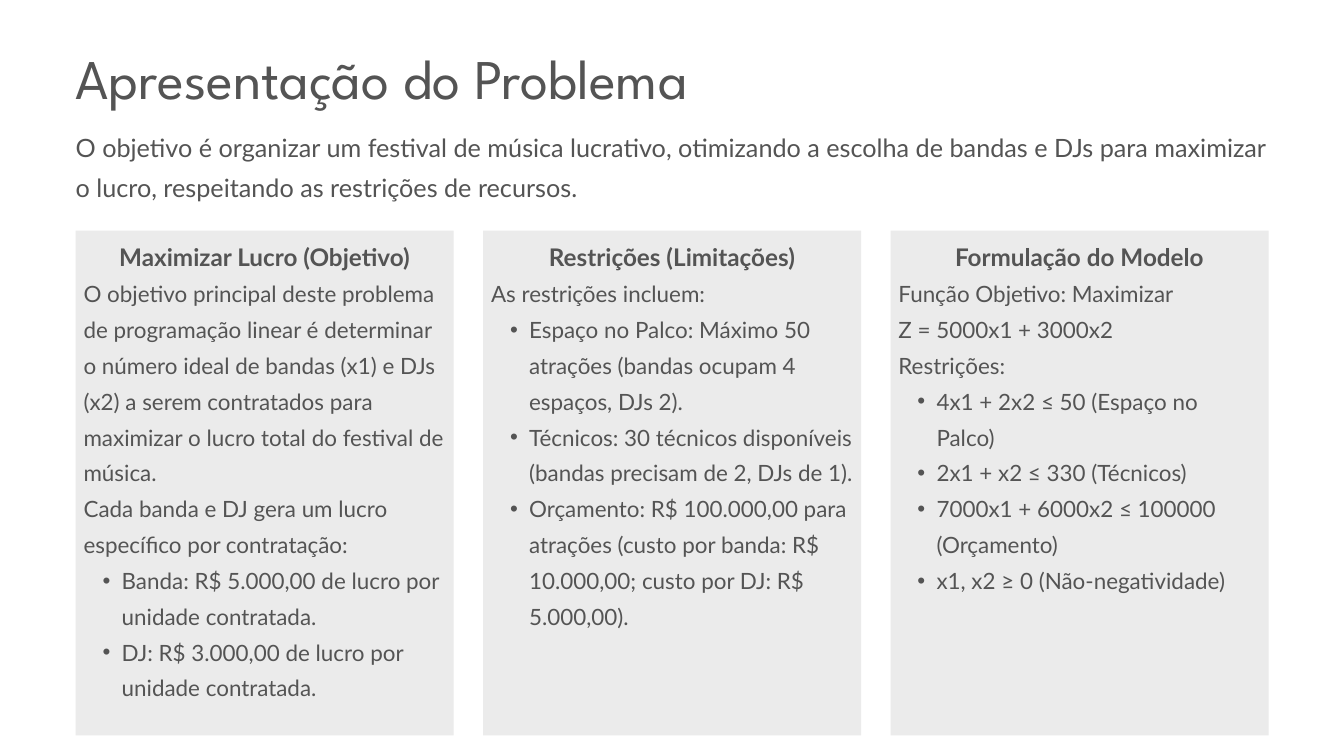
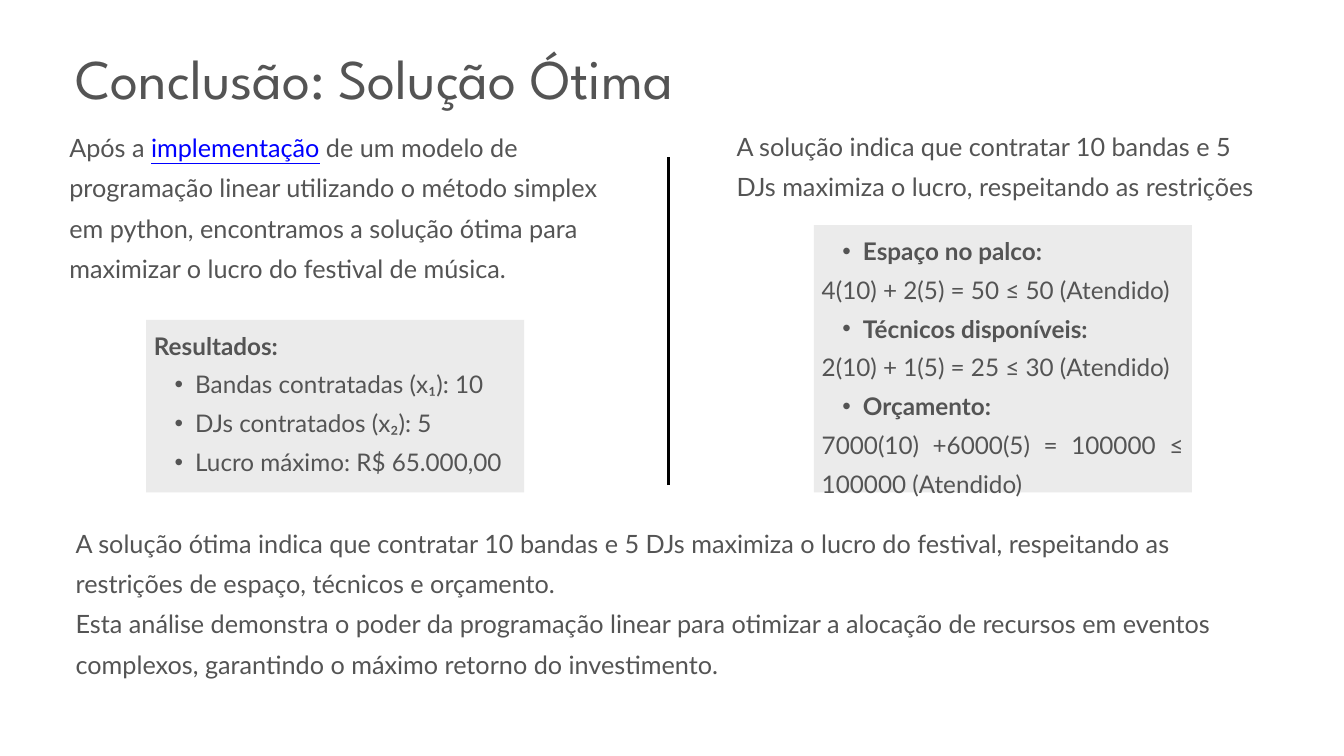
import pptx
import pptx.util
import pptx.dml.color
import pptx.enum.shapes
import pptx.enum.text
import pptx.oxml.ns
import lxml.etree

Cm, Pt = pptx.util.Cm, pptx.util.Pt
Align = pptx.enum.text.PP_ALIGN

COLORS = {"ink": "545454", "card": "EBEBEB", "link": "0000FF", "rule": "000000"}
BODY, TITLE = "Lato", "League Spartan"
WIDE, TALL = 50.8, 28.58
LEFT, SPAN = 2.86, 45.09      # shared margin and content width
CARD, PAD = 14.29, 0.3        # card width and its side padding
NOTE, LEAD = 27, 26           # text sizes outside and inside cards

# Kind of line: bold, bulleted, alignment
KINDS = {
    "head": (True, False, Align.CENTER),
    "lead": (True, False, Align.LEFT),
    "text": (False, False, Align.LEFT),
    "just": (False, False, Align.JUSTIFY),
    "dot": (False, True, Align.LEFT),
    "mark": (True, True, Align.LEFT),
}

INTRO = ("O objetivo é organizar um festival de música lucrativo, otimizando a escolha de "
         "bandas e DJs para maximizar o lucro, respeitando as restrições de recursos.")
COLUMNS = [
    [("head", "Maximizar Lucro (Objetivo)"),
     ("text", "O objetivo principal deste problema de programação linear é determinar o número "
              "ideal de bandas (x1) e DJs (x2) a serem contratados para maximizar o lucro total "
              "do festival de música."),
     ("text", "Cada banda e DJ gera um lucro específico por contratação:"),
     ("dot", "Banda: R$ 5.000,00 de lucro por unidade contratada."),
     ("dot", "DJ: R$ 3.000,00 de lucro por unidade contratada.")],
    [("head", "Restrições (Limitações)"),
     ("text", "As restrições incluem:"),
     ("dot", "Espaço no Palco: Máximo 50 atrações (bandas ocupam 4 espaços, DJs 2)."),
     ("dot", "Técnicos: 30 técnicos disponíveis (bandas precisam de 2, DJs de 1)."),
     ("dot", "Orçamento: R$ 100.000,00 para atrações (custo por banda: R$ 10.000,00; "
             "custo por DJ: R$ 5.000,00).")],
    [("head", "Formulação do Modelo"),
     ("text", "Função Objetivo: Maximizar"),
     ("text", "Z = 5000x1 + 3000x2"),
     ("text", "Restrições:"),
     ("dot", "4x1 + 2x2 ≤ 50 (Espaço no Palco)"),
     ("dot", "2x1 + x2 ≤ 330 (Técnicos)"),
     ("dot", "7000x1 + 6000x2 ≤ 100000 (Orçamento)"),
     ("dot", "x1, x2 ≥ 0 (Não-negatividade)")],
]

# Bars set off the underlined word
METHOD = ("Após a |implementação| de um modelo de programação linear utilizando o método "
          "simplex em python, encontramos a solução ótima para maximizar o lucro do festival "
          "de música.")
RESULTS = [
    ("lead", "Resultados:"),
    ("dot", "Bandas contratadas (x₁): 10"),
    ("dot", "DJs contratados (x₂): 5"),
    ("dot", "Lucro máximo: R$ 65.000,00"),
]
ADVICE = ("A solução indica que contratar 10 bandas e 5 DJs maximiza o lucro, "
          "respeitando as restrições")
CHECKS = [
    ("mark", "Espaço no palco:"),
    ("text", "4(10) + 2(5) = 50 ≤ 50 (Atendido)"),
    ("mark", "Técnicos disponíveis:"),
    ("text", "2(10) + 1(5) = 25 ≤ 30 (Atendido)"),
    ("mark", "Orçamento:"),
    ("just", "7000(10) +6000(5) = 100000 ≤ 100000 (Atendido)"),
]
CLOSING = [
    ("text", "A solução ótima indica que contratar 10 bandas e 5 DJs maximiza o lucro do "
             "festival, respeitando as restrições de espaço, técnicos e orçamento."),
    ("text", "Esta análise demonstra o poder da programação linear para otimizar a alocação de "
             "recursos em eventos complexos, garantindo o máximo retorno do investimento."),
]


def tint(name):
    return pptx.dml.color.RGBColor.from_string(COLORS[name])


def bullet(para, size):
    """Hang a dot whose indent follows the text size."""
    para.level = 1
    props = para._p.get_or_add_pPr()
    props.set("marL", str(Cm(size * 0.06)))
    props.set("indent", str(-Cm(size * 0.03)))
    for tag, key, value in (("a:buFont", "typeface", "Arial"), ("a:buChar", "char", "•")):
        lxml.etree.SubElement(props, pptx.oxml.ns.qn(tag)).set(key, value)


def write(slide, box, lines, size, font=BODY, ratio=1.6):
    """Put lines of (kind, text) in a box; heads are always in the lead size."""
    frame = slide.shapes.add_textbox(*map(Cm, box)).text_frame
    frame.word_wrap = True
    frame.auto_size = pptx.enum.text.MSO_AUTO_SIZE.SHAPE_TO_FIT_TEXT
    frame.margin_left = frame.margin_right = frame.margin_top = frame.margin_bottom = 0
    for i, (kind, text) in enumerate(lines):
        bold, dotted, align = KINDS[kind]
        height = LEAD if kind == "head" else size
        para = frame.add_paragraph() if i else frame.paragraphs[0]
        para.alignment = align
        para.line_spacing = Pt(round(height * ratio, 1))
        if dotted:
            bullet(para, size)
        for j, part in enumerate(text.split("|")):
            run = para.add_run()
            run.text = part
            run.font.name = font
            run.font.size = Pt(height)
            run.font.bold = bold
            run.font.color.rgb = tint("link" if j % 2 else "ink")
            if j % 2:
                run.font.underline = True


def title(slide, text):
    write(slide, (LEFT, 1.24, 31.06, 2.9), [("text", text)], 60, TITLE, 1.4)


def card(slide, box, lines, size, drop=0.05):
    """Grey panel with its text inset."""
    left, top, width, height = box
    panel = slide.shapes.add_shape(pptx.enum.shapes.MSO_SHAPE.RECTANGLE, *map(Cm, box))
    panel.shadow.inherit = False
    panel.fill.solid()
    panel.fill.fore_color.rgb = tint("card")
    panel.line.fill.background()
    write(slide, (left + PAD, top + drop, width - 2 * PAD, height - drop), lines, size)


def rule(slide, x, top, end):
    line = slide.shapes.add_connector(
        pptx.enum.shapes.MSO_CONNECTOR.STRAIGHT, Cm(x), Cm(end), Cm(x), Cm(top))
    line.line.color.rgb = tint("rule")
    line.line.width = Pt(3)
    lxml.etree.SubElement(line._element.spPr, pptx.oxml.ns.qn("a:effectLst"))


def half(slide, box, note, lines, top, shift):
    """Note with a card below it that ends at the foot of the box."""
    left, start, width, height = box
    write(slide, (left, start, width, top - start), [("text", note)], NOTE)
    card(slide, (left + shift, top, CARD, start + height - top), lines, LEAD)


def problem(slide):
    title(slide, "Apresentação do Problema")
    write(slide, (LEFT, 4.62, SPAN, 4.47), [("text", INTRO)], NOTE)
    # Three equal columns
    step = (SPAN - CARD) / (len(COLUMNS) - 1)
    for i, lines in enumerate(COLUMNS):
        card(slide, (LEFT + i * step, 8.72, CARD, 19.08), lines, 24, 0.07)


def outcome(slide):
    title(slide, "Conclusão: Solução Ótima")
    # Two halves with a rule between
    half(slide, (2.62, 4.62, 20.09, 14), METHOD, RESULTS, 12.09, 2.9)
    half(slide, (27.84, 4.57, 20.09, 14.05), ADVICE, CHECKS, 8.51, 2.92)
    rule(slide, 25.27, 5.94, 18.34)
    # Closing words
    write(slide, (LEFT, 19.58, SPAN, 9), CLOSING, NOTE)


def main():
    deck = pptx.Presentation()
    deck.slide_width, deck.slide_height = Cm(WIDE), Cm(TALL)
    for build in (problem, outcome):
        build(deck.slides.add_slide(deck.slide_layouts[6]))
    deck.save("out.pptx")


if __name__ == "__main__":
    main()
